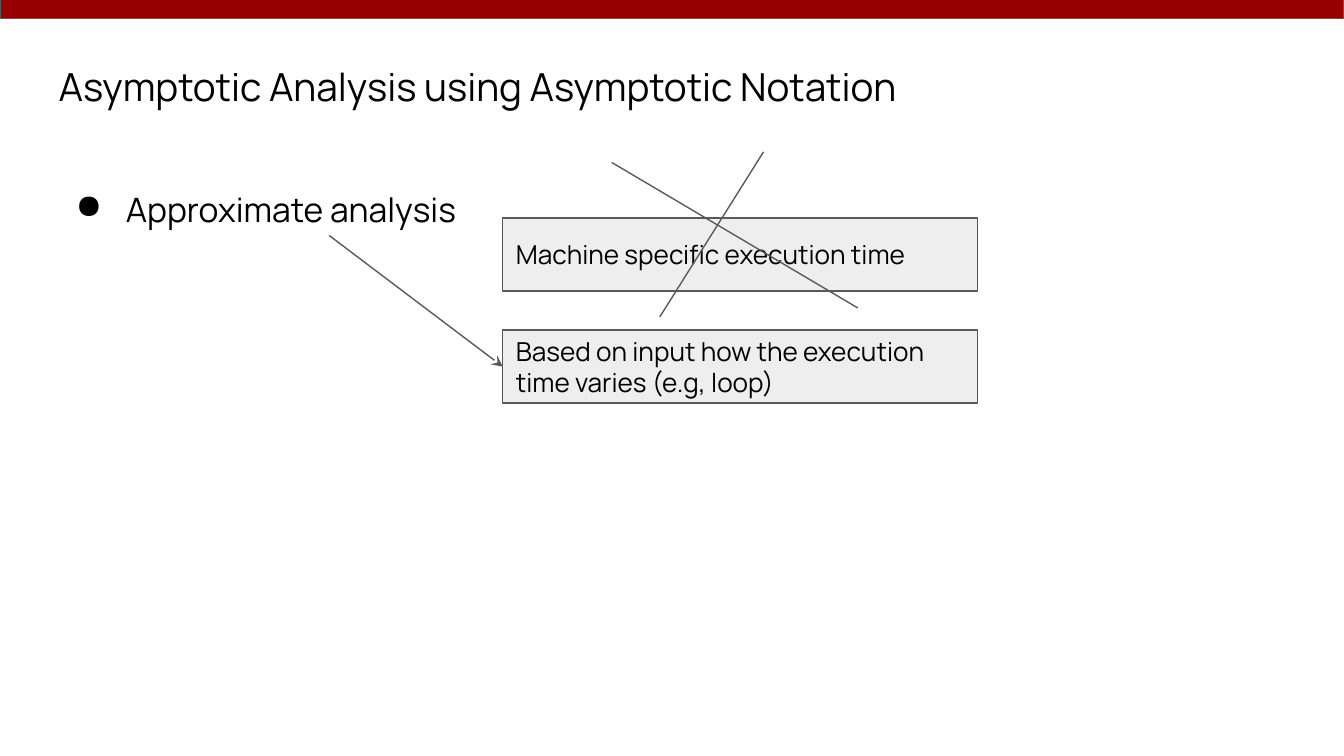
"""Build a slide on asymptotic analysis using asymptotic notation."""
from lxml import etree
from pptx import Presentation
from pptx.dml.color import RGBColor
from pptx.enum.shapes import MSO_CONNECTOR, MSO_SHAPE
from pptx.enum.text import MSO_ANCHOR, PP_ALIGN
from pptx.oxml.ns import qn
from pptx.util import Cm, Pt

RECTANGLE = MSO_SHAPE.RECTANGLE
STRAIGHT = MSO_CONNECTOR.STRAIGHT
TOP, MIDDLE = MSO_ANCHOR.TOP, MSO_ANCHOR.MIDDLE
LEFT = PP_ALIGN.LEFT
LEFT_SIDE = 1
BLACK, GREY, PALE, RED = "000000", "595959", "EEEEEE", "980000"
INSET = Cm(0.25)


def paint(color_format, color):
    color_format.rgb = RGBColor.from_string(color)


def write(frame, text, size, anchor, spacing):
    frame_format = {
        "word_wrap": True, "vertical_anchor": anchor,
        "margin_left": INSET, "margin_right": INSET,
        "margin_top": INSET, "margin_bottom": INSET,
    }
    for key, value in frame_format.items():
        setattr(frame, key, value)
    paragraph = frame.paragraphs[0]
    paragraph.text = text
    for key, value in {"alignment": LEFT, "line_spacing": spacing}.items():
        setattr(paragraph, key, value)
    font = paragraph.runs[0].font
    for key, value in {"name": "Manrope", "size": Pt(size)}.items():
        setattr(font, key, value)
    paint(font.color, BLACK)
    return paragraph


deck = Presentation()
deck.slide_width, deck.slide_height = Cm(25.4), Cm(14.29)
slide = deck.slides.add_slide(deck.slide_layouts[6])
shapes = slide.shapes

banner = shapes.add_shape(RECTANGLE, Cm(0), Cm(-0.03), Cm(25.4), Cm(0.38))

title = shapes.add_textbox(Cm(0.86), Cm(0.81), Cm(23.67), Cm(1.6))
write(title.text_frame, "Asymptotic Analysis using Asymptotic Notation", 20.7, TOP, 1.15)

topic = shapes.add_textbox(Cm(0.86), Cm(3.2), Cm(23.67), Cm(9.5))
topic_line = write(topic.text_frame, "Approximate analysis", 18, TOP, 1.15)
bullet_format = topic_line._p.get_or_add_pPr()
bullet_format.set("marL", str(Cm(1.27)))
bullet_format.set("indent", str(Cm(-0.95)))
bullet_color = etree.SubElement(bullet_format, qn("a:buClr"))
etree.SubElement(bullet_color, qn("a:srgbClr"), val=BLACK)
etree.SubElement(bullet_format, qn("a:buChar"), char="●")

meanings = []
for row, meaning in enumerate([
    "Machine specific execution time",
    "Based on input how the execution time varies (e.g, loop)",
]):
    box = shapes.add_shape(RECTANGLE, Cm(9.5), Cm(4.12 + 2.12 * row), Cm(8.97), Cm(1.38))
    write(box.text_frame, meaning, 14, MIDDLE, 1.0)
    meanings.append(box)

for panel, color in [(banner, RED)] + [(box, PALE) for box in meanings]:
    panel.shadow.inherit = False
    panel.fill.solid()
    paint(panel.fill.fore_color, color)
    panel.line.width = Pt(0.75)
    paint(panel.line.color, GREY)

strokes = []
for x1, y1, x2, y2 in [
    (11.56, 3.07, 16.21, 5.82),
    (14.43, 2.87, 12.47, 5.99),
    (6.22, 4.45, 9.5, 6.93),
]:
    stroke = shapes.add_connector(STRAIGHT, Cm(x1), Cm(y1), Cm(x2), Cm(y2))
    stroke.line.width = Pt(0.75)
    paint(stroke.line.color, GREY)
    etree.SubElement(stroke._element.spPr, qn("a:effectLst"))
    strokes.append(stroke)

arrow = strokes[-1]
arrow.end_connect(meanings[-1], LEFT_SIDE)
etree.SubElement(arrow.line._get_or_add_ln(), qn("a:tailEnd"), type="stealth")

deck.save("out.pptx")
